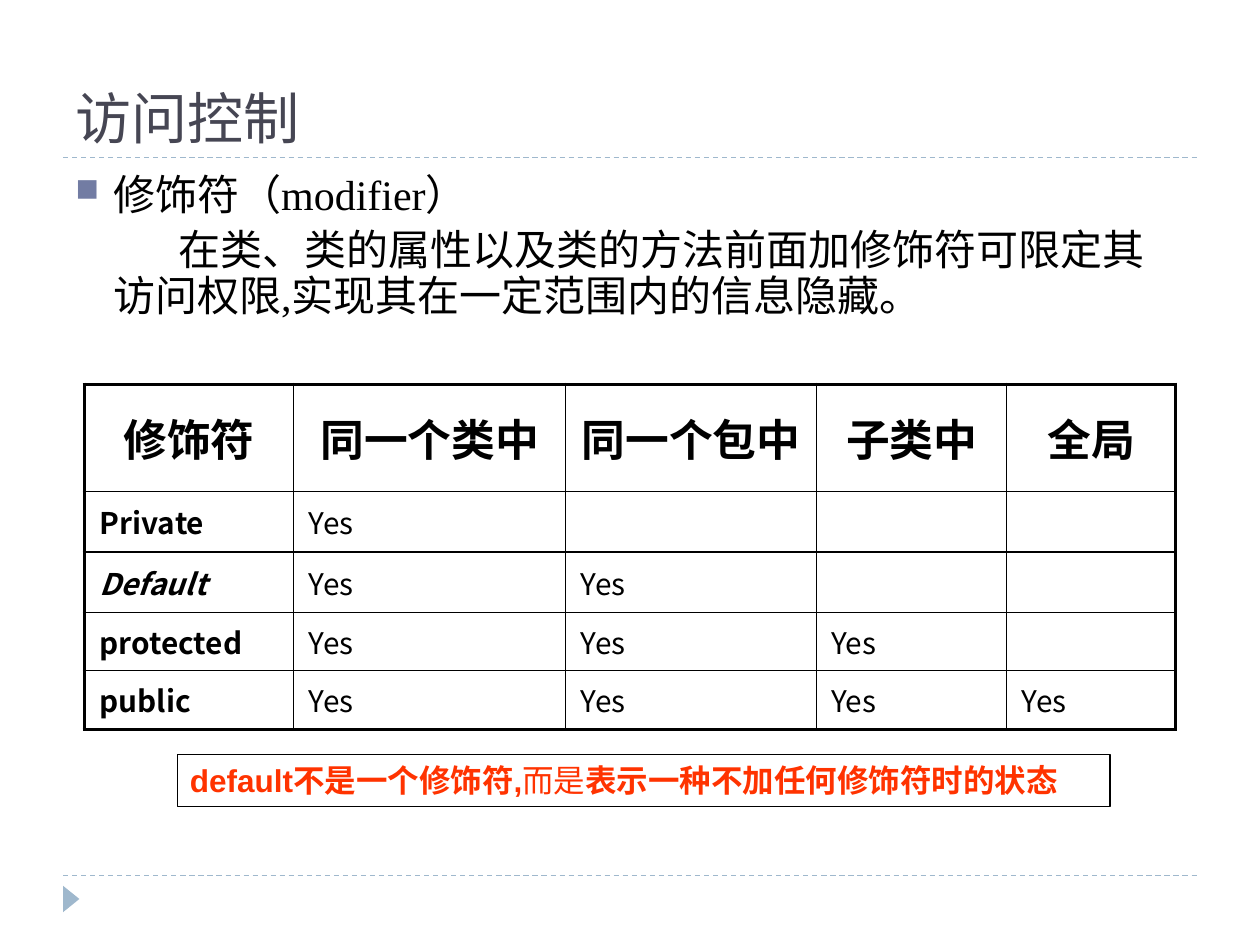
from typing import NamedTuple

from lxml.etree import SubElement
from pptx import Presentation
from pptx.dml.color import RGBColor
from pptx.enum.dml import MSO_LINE_DASH_STYLE as Dash
from pptx.enum.shapes import MSO_CONNECTOR as Connector, MSO_SHAPE as Shape
from pptx.enum.text import MSO_ANCHOR as Anchor, PP_ALIGN as Align
from pptx.oxml.ns import qn
from pptx.util import Inches, Pt

BLACK, RED, PALE_BLUE = "000000", "FF3300", "9FB8CD"
CJK = "Noto Sans CJK JP"
THIN, THICK = 1, 2.25

COLUMN_WIDTHS = [1.66, 2.16, 1.99, 1.51, 1.34]
ROW_HEIGHTS = [0.85, 0.48, 0.48, 0.46, 0.47]
HEADINGS = ["修饰符", "同一个类中", "同一个包中", "子类中", "全局"]


class Modifier(NamedTuple):
    name: str
    scopes: int
    italic: bool = False


class Phrase(NamedTuple):
    text: str
    bold: bool


MODIFIERS = [
    Modifier("Private", 1),
    Modifier("Default", 2, italic=True),
    Modifier("protected", 3),
    Modifier("public", 4),
]
REMARK = [
    Phrase("default不是一个修饰符,", True),
    Phrase("而是", False),
    Phrase("表示一种不加任何修饰符时的状态", True),
]


def rgb(color: str) -> RGBColor:
    return RGBColor.from_string(color)


def write(paragraph, text: str, *, size: float, font: str, color: str = BLACK,
          bold: bool = False, italic: bool = False, align=Align.LEFT) -> None:
    paragraph.alignment = align
    run = paragraph.add_run()
    run.text = text
    run.font.size = Pt(size)
    run.font.name = font
    run.font.bold = bold
    run.font.italic = italic
    run.font.color.rgb = rgb(color)
    SubElement(run.font._element, qn("a:ea"), typeface=CJK)


def add_rule(slide, y: float) -> None:
    rule = slide.shapes.add_connector(
        Connector.STRAIGHT, Inches(0.5), Inches(y), Inches(9.5), Inches(y))
    rule.line.color.rgb = rgb(PALE_BLUE)
    rule.line.width = Pt(0.75)
    rule.line.dash_style = Dash.DASH
    SubElement(rule._element.spPr, qn("a:effectLst"))


def add_page_marker(slide) -> None:
    marker = slide.shapes.add_shape(
        Shape.ISOSCELES_TRIANGLE, Inches(0.46), Inches(7.07), Inches(0.21), Inches(0.13))
    marker.rotation = 90
    marker.shadow.inherit = False
    marker.fill.solid()
    marker.fill.fore_color.rgb = rgb(PALE_BLUE)
    marker.line.fill.background()


def format_title(slide) -> None:
    title = slide.shapes.title
    title.left, title.top = Inches(0.5), Inches(0.17)
    title.width, title.height = Inches(9), Inches(1.08)
    title.text_frame.vertical_anchor = Anchor.BOTTOM
    write(title.text_frame.paragraphs[0], "访问控制", size=32, font="Arial", color="464653")


def set_indent(paragraph, first_line: float) -> None:
    properties = paragraph._p.get_or_add_pPr()
    properties.set("marL", str(Inches(0.3)))
    properties.set("indent", str(Inches(first_line)))


def add_square_bullet(paragraph) -> None:
    properties = paragraph._p.get_or_add_pPr()
    color = SubElement(properties, qn("a:buClr"))
    SubElement(color, qn("a:srgbClr"), val="727CA3")
    SubElement(properties, qn("a:buSzPct"), val="76000")
    SubElement(properties, qn("a:buChar"), char="■")


def add_definition(slide) -> None:
    box = slide.shapes.add_textbox(Inches(0.5), Inches(1.33), Inches(9), Inches(5.37))
    frame = box.text_frame
    frame.word_wrap = True
    term, meaning = frame.paragraphs[0], frame.add_paragraph()
    for paragraph, text, first_line in (
        (term, "修饰符（modifier）", -0.3),
        (meaning, "在类、类的属性以及类的方法前面加修饰符可限定其访问权限,"
                  "实现其在一定范围内的信息隐藏。", 0.52),
    ):
        write(paragraph, text, size=24, font="Times New Roman")
        paragraph.line_spacing = 0.9
        paragraph.space_before = Pt(6)
        set_indent(paragraph, first_line)
    add_square_bullet(term)


def set_borders(cell, **widths: float) -> None:
    """Draw black borders; the keywords are the sides L, R, T and B."""
    properties = cell._tc.get_or_add_tcPr()
    for side, width in widths.items():
        line = SubElement(properties, qn(f"a:ln{side}"), w=str(Pt(width)))
        fill = SubElement(line, qn("a:solidFill"))
        SubElement(fill, qn("a:srgbClr"), val=BLACK)


def format_cell(cell, row: int, column: int) -> None:
    last_row, last_column = len(ROW_HEIGHTS) - 1, len(COLUMN_WIDTHS) - 1
    set_borders(
        cell,
        L=THICK if column == 0 else THIN,
        R=THICK if column == last_column else THIN,
        T=THICK if row == 0 else THIN,
        B=THICK if row == last_row else THIN,
    )
    cell.fill.background()
    cell.vertical_anchor = Anchor.MIDDLE
    cell.margin_left = cell.margin_right = Inches(0.12)
    cell.margin_top = cell.margin_bottom = Inches(0.06)


def add_access_table(slide) -> None:
    table = slide.shapes.add_table(
        len(ROW_HEIGHTS), len(COLUMN_WIDTHS), Inches(0.67), Inches(3.05),
        Inches(sum(COLUMN_WIDTHS)), Inches(sum(ROW_HEIGHTS))).table
    table.first_row = table.horz_banding = False
    for column, width in zip(table.columns, COLUMN_WIDTHS):
        column.width = Inches(width)
    for r, height in enumerate(ROW_HEIGHTS):
        table.rows[r].height = Inches(height)
        for c in range(len(COLUMN_WIDTHS)):
            format_cell(table.cell(r, c), r, c)

    def fill_in(row: int, column: int, text: str, **style) -> None:
        write(table.cell(row, column).text_frame.paragraphs[0], text, font=CJK, **style)

    for c, heading in enumerate(HEADINGS):
        fill_in(0, c, heading, size=25, bold=True, align=Align.CENTER)
    for r, modifier in enumerate(MODIFIERS, start=1):
        fill_in(r, 0, modifier.name, size=17, bold=True, italic=modifier.italic)
        for c in range(1, modifier.scopes + 1):
            fill_in(r, c, "Yes", size=17)


def add_remark(slide) -> None:
    remark = slide.shapes.add_shape(
        Shape.RECTANGLE, Inches(1.41), Inches(5.99), Inches(7.4), Inches(0.41))
    remark.shadow.inherit = False
    remark.fill.background()
    remark.line.color.rgb = rgb(BLACK)
    remark.line.width = Pt(0.75)
    frame = remark.text_frame
    frame.word_wrap = True
    frame.vertical_anchor = Anchor.TOP
    for phrase in REMARK:
        write(frame.paragraphs[0], phrase.text, size=18, font="Arial",
              color=RED, bold=phrase.bold)


def main() -> None:
    deck = Presentation()
    deck.slide_width, deck.slide_height = Inches(10), Inches(7.5)
    slide = deck.slides.add_slide(deck.slide_layouts[5])
    for y in (6.95, 1.25):
        add_rule(slide, y)
    add_page_marker(slide)
    format_title(slide)
    add_definition(slide)
    add_access_table(slide)
    add_remark(slide)
    deck.save("out.pptx")


if __name__ == "__main__":
    main()
